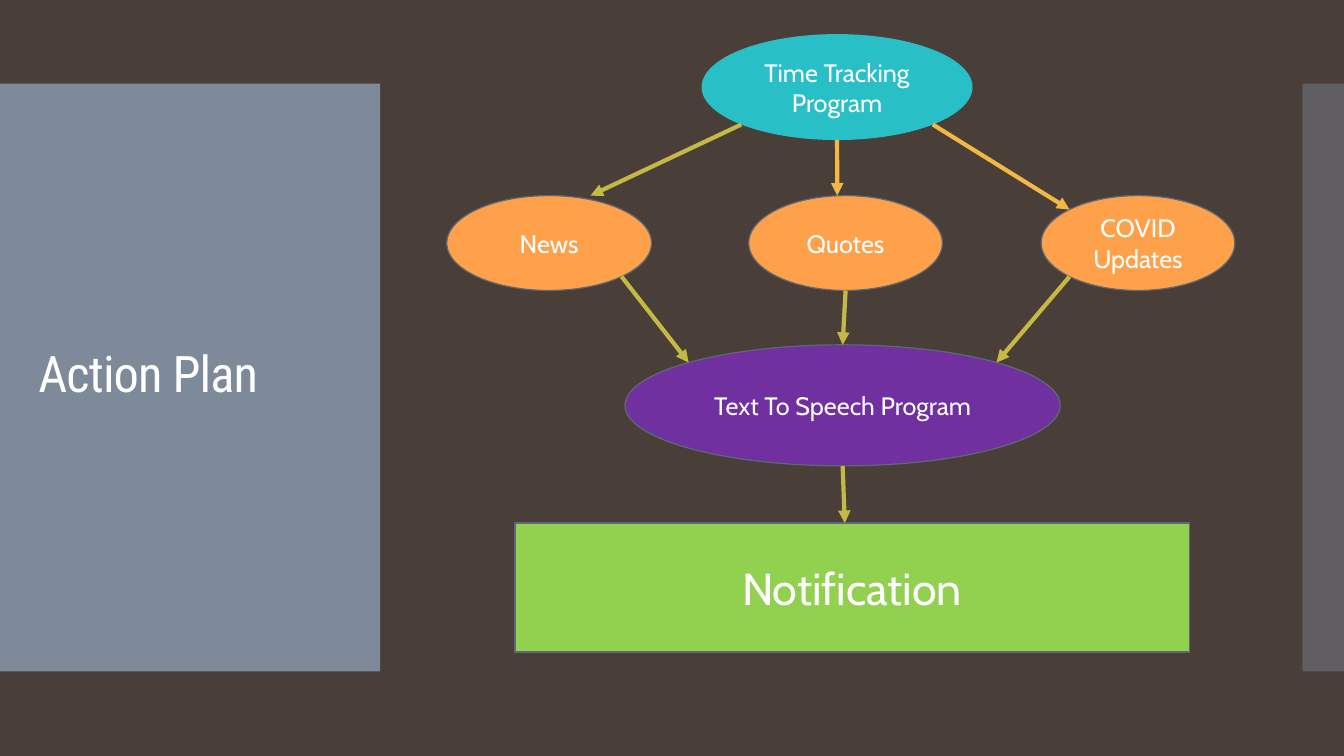
from math import sqrt

from lxml.etree import SubElement
from pptx import Presentation
from pptx.dml.color import RGBColor
from pptx.enum.shapes import MSO_CONNECTOR, MSO_SHAPE
from pptx.enum.text import MSO_ANCHOR, PP_ALIGN
from pptx.oxml.ns import qn
from pptx.util import Cm, Pt

# Content: lengths in centimetres
TITLE = "Action Plan"
OUTLINE, WHITE, OLIVE, AMBER = "5F6976", "FFFFFF", "C3BA45", "F3B843"
PANELS = [  # left, width, opacity in percent
    (0, 9.58, 95),
    (32.82, 1.05, 40),
]
NODES = {  # text, preset, (left, top, width, height), fill, outline, size
    "tracking": ("Time Tracking Program", MSO_SHAPE.OVAL, (17.68, 0.86, 6.83, 2.67), "29BFC7", None, 18),
    "news": ("News", MSO_SHAPE.OVAL, (11.26, 4.93, 5.16, 2.39), "FFA14B", OUTLINE, 18),
    "quotes": ("Quotes", MSO_SHAPE.OVAL, (18.87, 4.93, 4.88, 2.39), "FFA14B", OUTLINE, 18),
    "covid": ("COVID Updates", MSO_SHAPE.OVAL, (26.24, 4.93, 4.88, 2.39), "FFA14B", OUTLINE, 18),
    "speech": ("Text To Speech Program", MSO_SHAPE.OVAL, (15.75, 8.69, 10.97, 3.05), "7030A0", OUTLINE, 18),
    "notice": ("Notification", MSO_SHAPE.RECTANGLE, (12.98, 13.18, 16.99, 3.25), "92D050", OUTLINE, 32),
}
# Each end is a node and a direction on its rim, or a free point
ARROWS = [
    (("tracking", "down left"), (14.88, 4.93), OLIVE),
    (("tracking", "down"), (21.1, 4.93), AMBER),
    (("tracking", "down right"), ("covid", "up left"), AMBER),
    (("news", "down right"), ("speech", "up left"), OLIVE),
    (("quotes", "down"), ("speech", "up"), OLIVE),
    (("covid", "down left"), ("speech", "up right"), OLIVE),
    (("speech", "down"), (21.29, 13.18), OLIVE),
]
DIAGONAL = 1 / sqrt(2)
RIM = {
    "up": (0, -1),
    "down": (0, 1),
    "up left": (-DIAGONAL, -DIAGONAL),
    "up right": (DIAGONAL, -DIAGONAL),
    "down left": (-DIAGONAL, DIAGONAL),
    "down right": (DIAGONAL, DIAGONAL),
}


def color(value):
    return RGBColor.from_string(value)


def add_block(preset, place, fill, outline=None):
    block = page.shapes.add_shape(preset, *map(Cm, place))
    block.shadow.inherit = False
    block.fill.solid()
    block.fill.fore_color.rgb = color(fill)
    if outline:
        block.line.color.rgb = color(outline)
        block.line.width = Pt(0.85)
    else:
        block.line.fill.background()
    return block


def write(box, text, size, font, align):
    frame = box.text_frame
    frame.word_wrap = True
    frame.vertical_anchor = MSO_ANCHOR.MIDDLE
    para = frame.paragraphs[0]
    para.alignment = align
    span = para.add_run()
    span.text = text
    span.font.size = Pt(size)
    span.font.name = font
    span.font.color.rgb = color(WHITE)
    return span


def locate(end):
    if end[0] not in NODES:
        return end
    left, top, width, height = NODES[end[0]][2]
    across, along = RIM[end[1]]
    return left + width / 2 * (1 + across), top + height / 2 * (1 + along)


deck = Presentation()
deck.slide_width, deck.slide_height = Cm(33.87), Cm(19.05)
page = deck.slides.add_slide(deck.slide_layouts[5])
page.background.fill.solid()
page.background.fill.fore_color.rgb = color("4A3F38")

# Title
title = page.shapes.title
title.left, title.top, title.width, title.height = map(Cm, (0.71, 2.99, 8.18, 12.78))
span = write(title, TITLE, 36, "Roboto Condensed", PP_ALIGN.LEFT)
span.font._element.set("spc", "-60")

# Translucent side panels, behind the title
for left, width, opacity in PANELS:
    panel = add_block(MSO_SHAPE.RECTANGLE, (left, 2.11, width, 14.81), "818E9F")
    tint = panel.element.spPr.find(qn("a:solidFill"))[0]
    SubElement(tint, qn("a:alpha"), val=str(opacity * 1000))
    title.element.addprevious(panel.element)

# Flowchart nodes
for text, preset, place, fill, outline, size in NODES.values():
    node = add_block(preset, place, fill, outline)
    write(node, text, size, "Cabin", PP_ALIGN.CENTER)

# Arrows
for start, finish, stroke in ARROWS:
    points = map(Cm, (*locate(start), *locate(finish)))
    arrow = page.shapes.add_connector(MSO_CONNECTOR.STRAIGHT, *points)
    arrow.line.color.rgb = color(stroke)
    arrow.line.width = Pt(3)
    SubElement(arrow.line._get_or_add_ln(), qn("a:tailEnd"), type="triangle")
    SubElement(arrow.element.spPr, qn("a:effectLst"))

deck.save("out.pptx")
